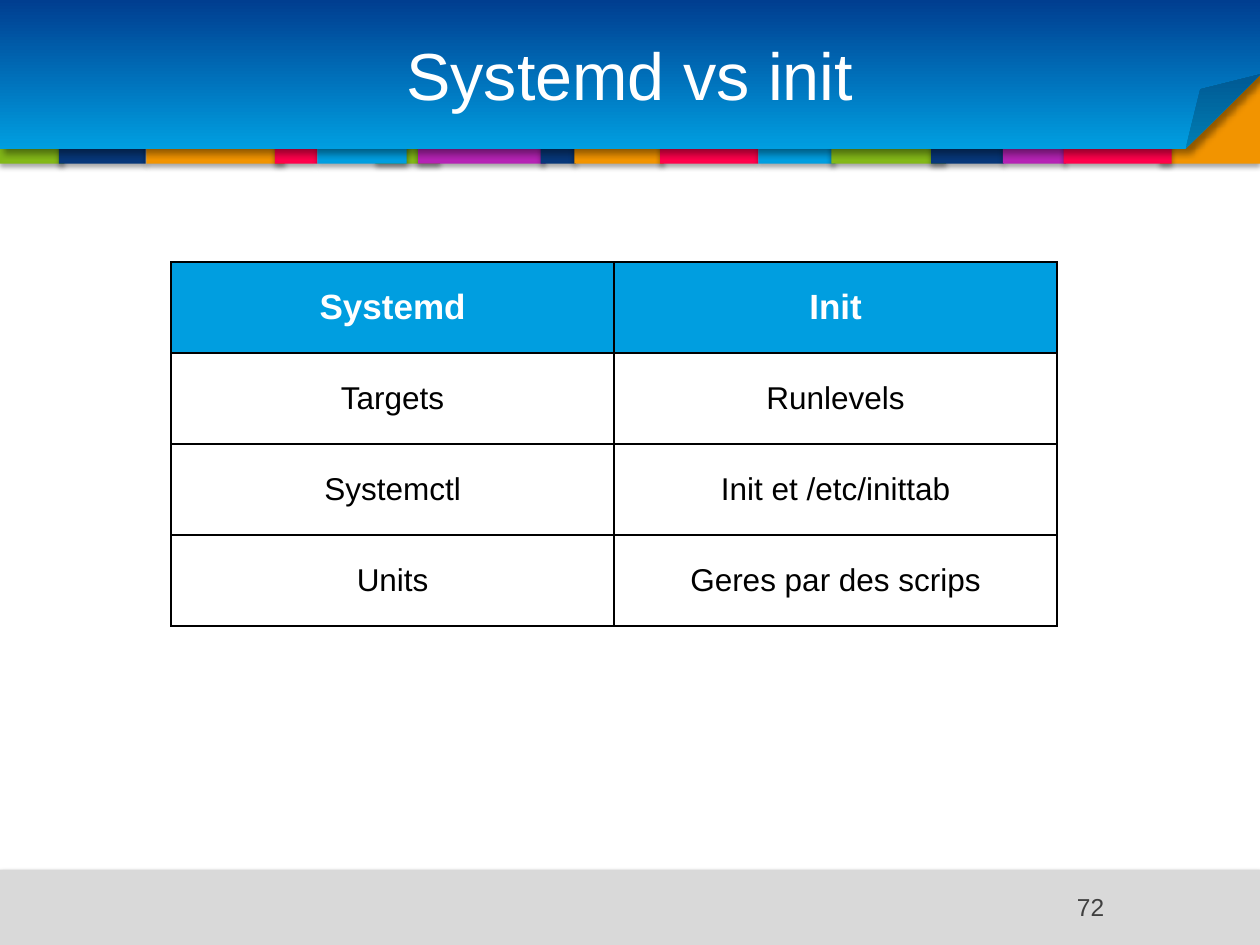
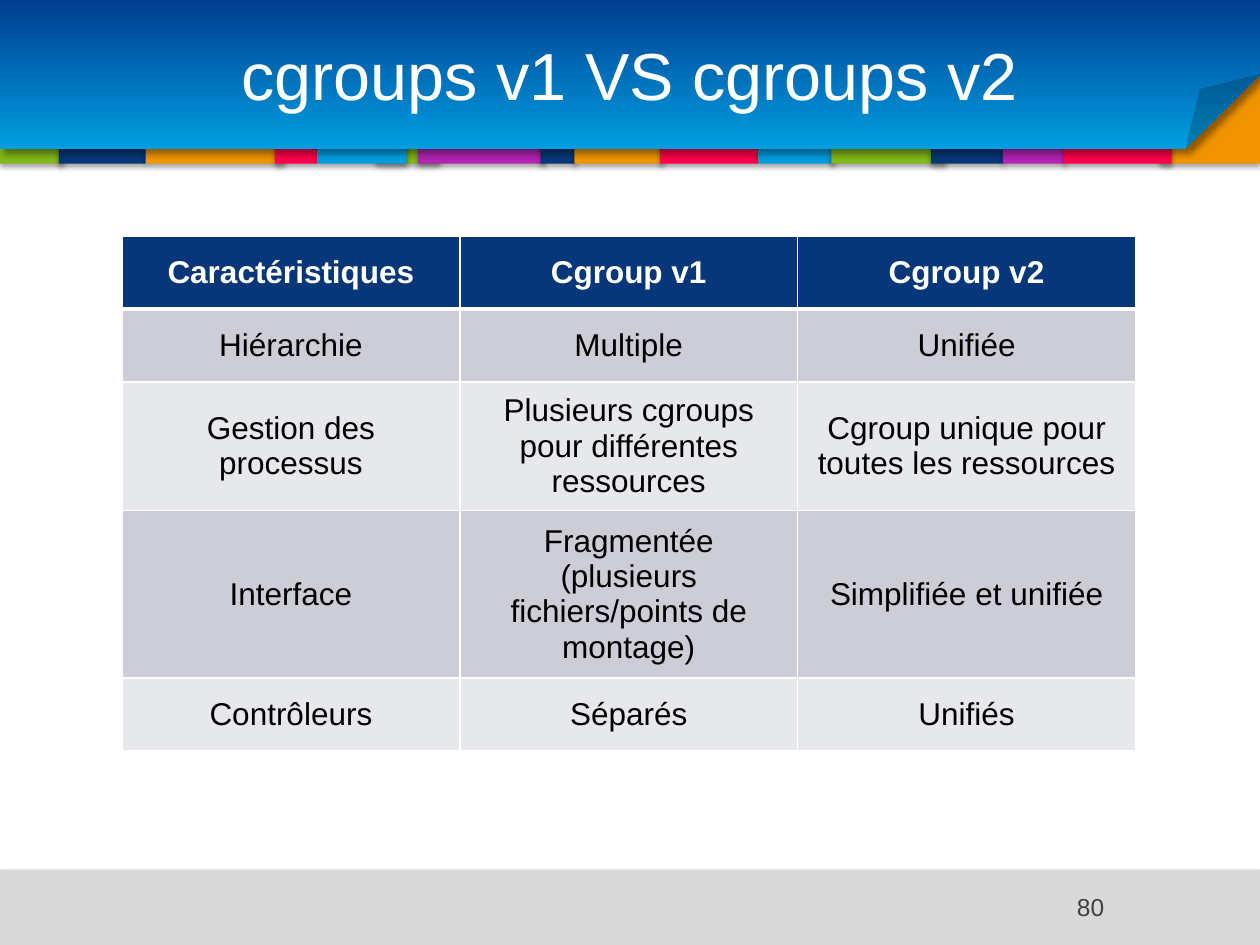
from lxml.etree import SubElement
from pptx import Presentation
from pptx.dml.color import RGBColor
from pptx.enum.shapes import MSO_SHAPE
from pptx.enum.text import MSO_ANCHOR, PP_ALIGN
from pptx.oxml import parse_xml
from pptx.oxml.ns import nsdecls, qn
from pptx.util import Cm, Pt

COLORS = {
    "green": "83B818", "navy": "073779", "orange": "F29400", "red": "FF014B",
    "blue": "009EE0", "purple": "B523B4", "deep_blue": "003E90",
    "footer": "D9D9D9", "page_number": "404040", "white": "FFFFFF",
    "black": "000000", "row_dark": "CCCDD6", "row_light": "E7E8EB",
}
SLIDE_WIDTH, SLIDE_HEIGHT = 25.4, 19.05
HEADER_BOX = (0, 0, SLIDE_WIDTH, 3.3)
FOOTER_BOX = (0, 17.53, SLIDE_WIDTH, 1.52)
BANNER_HEIGHT = 3.0
STRIP_HEIGHT = 1.24
STRIPS = [
    (0, 1.3, "green"), (1.19, 1.75, "navy"), (2.95, 2.79, "orange"),
    (5.54, 0.86, "red"), (6.4, 1.8, "blue"), (8.43, 2.57, "purple"),
    (10.9, 0.71, "navy"), (11.58, 1.8, "orange"), (13.31, 1.98, "red"),
    (15.29, 1.55, "blue"), (16.76, 2.31, "green"), (18.77, 1.47, "navy"),
    (20.22, 1.27, "purple"), (21.44, 2.18, "red"),
]
SOFT_SHADOW = {"alpha": 35, "blur": 3.1, "distance": 1.8, "angle": 90}
BANNER_SHADOW = {"alpha": 40, "blur": 4, "distance": 3, "angle": 45}
TITLE_FONT = {"name": "Arial", "size": Pt(38), "bold": False}
PAGE_FONT = {"name": "Arial", "size": Pt(14), "bold": False}
BODY_FONT = {"name": "Arial", "size": Pt(18), "bold": False}
HEADING_FONT = BODY_FONT | {"bold": True}
THIN, THICK = 0.96, 3

INIT_TABLE = {
    "box": (3.45, 5.28, 17.86, 7.34),
    "rows": [
        ("Systemd", "Init"),
        ("Targets", "Runlevels"),
        ("Systemctl", "Init et /etc/inittab"),
        ("Units", "Geres par des scrips"),
    ],
    "shares": [1, 1, 1, 1],
    "heading_font": HEADING_FONT | {"size": Pt(20)},
    "heading_fill": "blue",
    "row_fills": [None],
    "border": "black",
    "heading_rule": THIN,
}
CGROUP_TABLE = {
    "box": (2.46, 4.76, 20.43, 10.38),
    "rows": [
        ("Caractéristiques", "Cgroup v1", "Cgroup v2"),
        ("Hiérarchie", "Multiple", "Unifiée"),
        ("Gestion des processus",
         "Plusieurs cgroups pour différentes ressources",
         "Cgroup unique pour toutes les ressources"),
        ("Interface", "Fragmentée (plusieurs fichiers/points de montage)",
         "Simplifiée et unifiée"),
        ("Contrôleurs", "Séparés", "Unifiés"),
    ],
    "shares": [0.58, 0.58, 1.02, 1.33, 0.58],
    "heading_font": HEADING_FONT,
    "heading_fill": "navy",
    "row_fills": ["row_dark", "row_light"],
    "border": "white",
    "heading_rule": THICK,
}


def rgb(color):
    """Return the named colour."""
    return RGBColor.from_string(COLORS[color])


def paint(fill, color):
    """Fill with a named colour, or clear the fill for None."""
    if color is None:
        fill.background()
    else:
        fill.solid()
        fill.fore_color.rgb = rgb(color)


def add_shadow(shape, alpha, blur, distance, angle):
    """Give a shape a black outer shadow."""
    shape.shadow.inherit = False
    effects = shape._element.spPr.find(qn("a:effectLst"))
    outer = SubElement(effects, qn("a:outerShdw"), {
        "blurRad": str(Pt(blur)), "dist": str(Pt(distance)),
        "dir": str(angle * 60000), "algn": "tl", "rotWithShape": "0"})
    black = SubElement(outer, qn("a:srgbClr"), val=COLORS["black"])
    SubElement(black, qn("a:alpha"), val=str(alpha * 1000))


def set_fold(shape, share):
    """Set the size of a folded corner as a share of the shorter side."""
    geometry = shape._element.spPr.find(qn("a:prstGeom"))
    SubElement(geometry.find(qn("a:avLst")), qn("a:gd"), name="adj",
               fmla=f"val {round(share * 100000)}")


def add_panel(slide, box, color, kind=MSO_SHAPE.RECTANGLE, shadow=SOFT_SHADOW):
    """Add a borderless, shadowed shape."""
    panel = slide.shapes.add_shape(kind, *map(Cm, box))
    paint(panel.fill, color)
    panel.line.fill.background()
    add_shadow(panel, **shadow)
    return panel


def write(frame, text, font, color, align):
    """Write one formatted paragraph into a text frame."""
    paragraph = frame.paragraphs[0]
    paragraph.alignment = align
    run = paragraph.add_run()
    run.text = text
    for name, value in font.items():
        setattr(run.font, name, value)
    run.font.color.rgb = rgb(color)


def add_label(slide, box, text, font, color, align, anchor):
    """Add a wrapped text box."""
    frame = slide.shapes.add_textbox(*map(Cm, box)).text_frame
    for name, value in {"word_wrap": True, "vertical_anchor": anchor}.items():
        setattr(frame, name, value)
    write(frame, text, font, color, align)


def add_header(slide, box, title):
    """Draw the coloured strips, the folded banner and the title."""
    left, top, width, height = box
    strip_top = top + height - STRIP_HEIGHT
    add_panel(slide, (left + 7.57, strip_top, 1.3, STRIP_HEIGHT), "green")
    add_panel(slide, (left + width - 2.01, top + 1.19, 2.01, height - 1.19),
              "orange")
    for offset, strip_width, color in STRIPS:
        add_panel(slide, (left + offset, strip_top, strip_width, STRIP_HEIGHT),
                  color)
    banner = add_panel(slide, (left, top, width, BANNER_HEIGHT), "blue",
                       MSO_SHAPE.FOLDED_CORNER, BANNER_SHADOW)
    set_fold(banner, 0.5)
    banner.fill.gradient()
    banner.fill.gradient_angle = 90
    for stop, color in zip(banner.fill.gradient_stops, ("blue", "deep_blue")):
        stop.color.rgb = rgb(color)
    add_label(slide, (left + 1.27, top + 0.18, width - 2.54, 2.62), title,
              TITLE_FONT, "white", PP_ALIGN.CENTER, MSO_ANCHOR.MIDDLE)


def add_footer(slide, box, page):
    """Draw the footer band with its page number."""
    left, top, width, height = box
    add_panel(slide, box, "footer")
    add_label(slide, (left + 19.51, top + 0.33, 3.0, 0.94), str(page),
              PAGE_FONT, "page_number", PP_ALIGN.RIGHT, MSO_ANCHOR.TOP)


def set_borders(cell, color, top, bottom):
    """Draw the four borders of a table cell."""
    properties = cell._tc.get_or_add_tcPr()
    edges = {"lnL": THIN, "lnR": THIN, "lnT": top, "lnB": bottom}
    for index, (edge, weight) in enumerate(edges.items()):
        properties.insert(index, parse_xml(
            f'<a:{edge} {nsdecls("a")} w="{Pt(weight)}"><a:solidFill>'
            f'<a:srgbClr val="{COLORS[color]}"/></a:solidFill></a:{edge}>'))


def add_comparison(slide, box, rows, shares, heading_font, heading_fill,
                   row_fills, border, heading_rule):
    """Add a comparison table with equal columns and a heading row."""
    width, height = box[2:]
    columns = len(rows[0])
    table = slide.shapes.add_table(len(rows), columns, *map(Cm, box)).table
    table.horz_banding = False
    for column in table.columns:
        column.width = Cm(width / columns)
    for index, (texts, share) in enumerate(zip(rows, shares)):
        table.rows[index].height = Cm(height * share / sum(shares))
        heading = index == 0
        fill = heading_fill if heading else row_fills[(index - 1) % len(row_fills)]
        font = heading_font if heading else BODY_FONT
        top = heading_rule if index == 1 else THIN
        bottom = heading_rule if heading else THIN
        for cell, text in zip(table.rows[index].cells, texts):
            cell.vertical_anchor = MSO_ANCHOR.MIDDLE
            paint(cell.fill, fill)
            set_borders(cell, border, top, bottom)
            write(cell.text_frame, text, font,
                  "white" if heading else "black", PP_ALIGN.CENTER)


def add_comparison_slide(deck, title, page, comparison):
    """Add a slide with header, footer and comparison table."""
    slide = deck.slides.add_slide(deck.slide_layouts[6])
    add_header(slide, HEADER_BOX, title)
    add_footer(slide, FOOTER_BOX, page)
    add_comparison(slide, **comparison)


def main():
    """Build and save the deck."""
    deck = Presentation()
    deck.slide_width, deck.slide_height = Cm(SLIDE_WIDTH), Cm(SLIDE_HEIGHT)
    add_comparison_slide(deck, "Systemd vs init", 72, INIT_TABLE)
    add_comparison_slide(deck, "cgroups v1 VS cgroups v2", 80, CGROUP_TABLE)
    deck.save("out.pptx")


if __name__ == "__main__":
    main()
